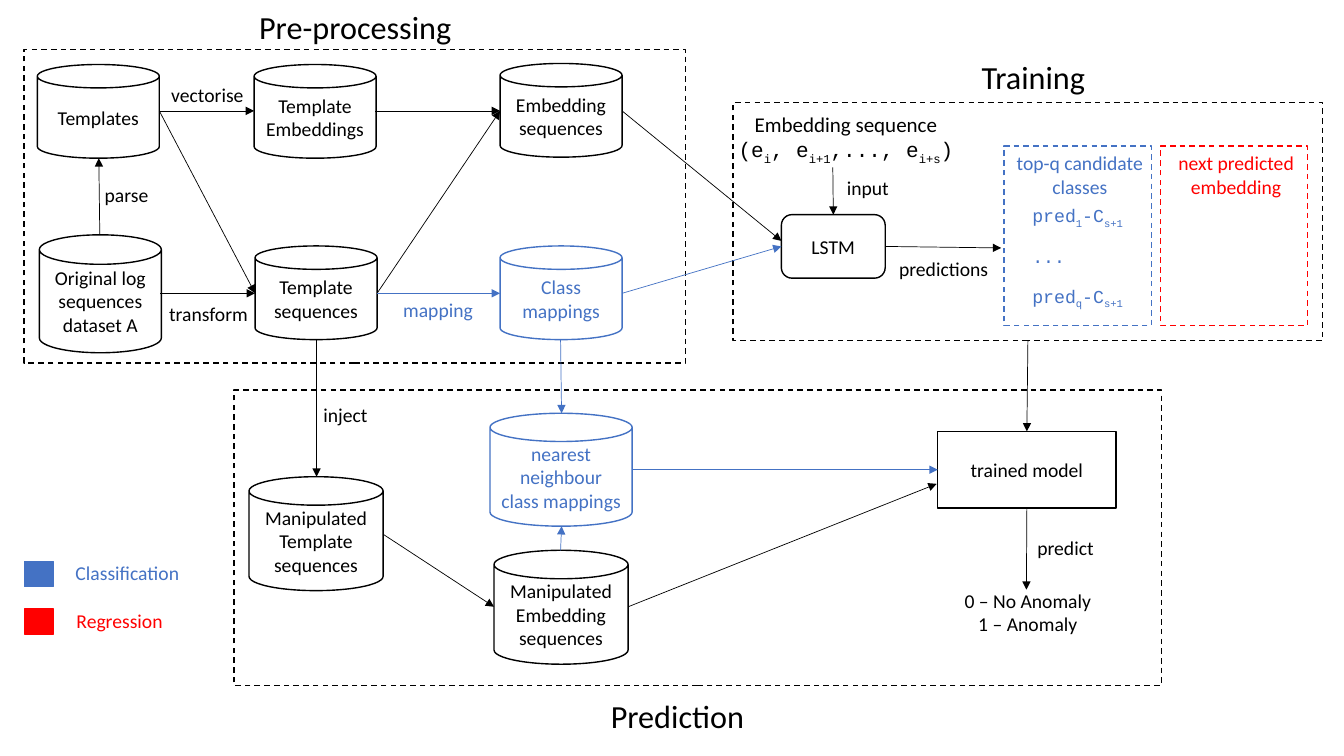
from pptx import Presentation
from pptx.dml.color import RGBColor
from pptx.enum.dml import MSO_LINE
from pptx.enum.shapes import MSO_CONNECTOR, MSO_SHAPE
from pptx.enum.text import MSO_ANCHOR, MSO_AUTO_SIZE, PP_ALIGN
from pptx.oxml.ns import qn
from pptx.util import Pt
from lxml import etree

PX = 9144  # 100 px to the inch
CAN, RECT, ROUND = MSO_SHAPE.CAN, MSO_SHAPE.RECTANGLE, MSO_SHAPE.ROUNDED_RECTANGLE
STRAIGHT, DASH = MSO_CONNECTOR.STRAIGHT, MSO_LINE.DASH
LEFT, MID = PP_ALIGN.LEFT, PP_ALIGN.CENTER
TOP, SIDE, BASE, RIGHT = range(4)

THEME = {
    "black": RGBColor(0, 0, 0), "blue": RGBColor(0x44, 0x72, 0xC4),
    "red": RGBColor(0xFF, 0, 0),
    "body": "Calibri", "mono": "Courier New",
    "title": 23, "input": 15, "text": 14, "code": 13,
}

deck = Presentation()
deck.slide_width, deck.slide_height = 1333 * PX, 750 * PX
slide = deck.slides.add_slide(deck.slide_layouts[6])
shapes = slide.shapes


def write(frame, text, color="black", size="text", font="body", align=MID):
    """Add one paragraph per line; parts between ~ marks are subscripts."""
    for line in text.split("\n"):
        para = frame.paragraphs[0]
        if para.runs:
            para = frame.add_paragraph()
        para.alignment = align
        for i, part in enumerate(line.split("~")):
            if not part:
                continue
            run = para.add_run()
            run.text = part
            run.font.name = THEME[font]
            run.font.size = Pt(THEME[size])
            run.font.color.rgb = THEME[color]
            if i % 2:
                run.font._element.set("baseline", "-25000")


def block(kind, box, color="black", dash=None, fill=None, text=""):
    shape = shapes.add_shape(kind, *[n * PX for n in box])
    shape.shadow.inherit = False
    shape.line.color.rgb = THEME[color]
    shape.line.width = Pt(1)
    if dash:
        shape.line.dash_style = dash
    if fill:
        shape.fill.solid()
        shape.fill.fore_color.rgb = THEME[fill]
    else:
        shape.fill.background()
    if text:
        shape.text_frame.word_wrap = True
        shape.text_frame.vertical_anchor = MSO_ANCHOR.MIDDLE
        write(shape.text_frame, text, color)
    return shape


# Dashed frames
block(RECT, (24, 49, 656, 311), dash=DASH)
block(RECT, (232, 387, 920, 293), dash=DASH)
train = block(RECT, (727, 102, 585, 236), dash=DASH)
for x, color in (996, "blue"), (1151, "red"):
    block(RECT, (x, 145, 146, 178), color, DASH)

# Data stores
for box, color, text in [
    ((39, 233, 121, 117), "black", "Original log sequences dataset A"),
    ((37, 64, 121, 93), "black", "Templates"),
    ((252, 64, 121, 93), "black", "Template Embeddings"),
    ((496, 63, 121, 93), "black", "Embedding sequences"),
    ((253, 244, 121, 93), "black", "Template sequences"),
    ((496, 244, 121, 93), "blue", "Class mappings"),
    ((247, 473, 133, 113), "black", "Manipulated Template sequences"),
    ((490, 546, 133, 113), "black", "Manipulated Embedding sequences"),
    ((486, 410, 141, 112), "blue", "nearest\nneighbour class mappings"),
]:
    block(CAN, box, color, text=text)

# Models
lstm = block(ROUND, (775, 213, 103, 63), text="LSTM")
model = block(RECT, (930, 428, 177, 76), text="trained model")

# Arrows: start, end, colour, joined start, joined end
for start, end, color, tail, head in [
    ((99, 233), (98, 157), "black", None, None),
    ((159, 291), (253, 291), "black", None, None),
    ((158, 110), (253, 291), "black", None, None),
    ((158, 110), (252, 110), "black", None, None),
    ((372, 110), (496, 110), "black", None, None),
    ((374, 291), (496, 110), "black", None, None),
    ((374, 291), (496, 291), "blue", None, None),
    ((617, 110), (775, 239), "black", None, None),
    ((617, 291), (775, 245), "blue", None, (lstm, SIDE)),
    ((826, 166), (826, 213), "black", None, (lstm, TOP)),
    ((878, 246), (993, 246), "black", (lstm, RIGHT), None),
    ((314, 337), (314, 473), "black", None, None),
    ((556, 337), (557, 410), "blue", None, None),
    ((556, 546), (557, 522), "blue", None, None),
    ((380, 530), (490, 602), "black", None, None),
    ((623, 602), (929, 480), "black", None, None),
    ((627, 466), (930, 466), "blue", None, (model, SIDE)),
    ((1019, 338), (1018, 428), "black", (train, BASE), (model, TOP)),
    ((1018, 504), (1018, 585), "black", (model, BASE), None),
]:
    arrow = shapes.add_connector(STRAIGHT, *[n * PX for n in start + end])
    if tail:
        arrow.begin_connect(*tail)
    if head:
        arrow.end_connect(*head)
    arrow.line.color.rgb = THEME[color]
    arrow.line.width = Pt(0.5)
    etree.SubElement(arrow.line._get_or_add_ln(), qn("a:tailEnd"), type="triangle")
    etree.SubElement(arrow._element.spPr, qn("a:effectLst"))

# Legend swatches
for y, color in (557, "blue"), (604, "red"):
    block(RECT, (24, y, 29, 25), color, fill=color)

# Labels
code = {"color": "blue", "size": "code", "font": "mono", "align": LEFT}
title = {"size": "title"}
plain = {"align": LEFT}
blue, red = {"color": "blue"}, {"color": "red"}
labels = {}
for box, text, style in [
    ((237, 2, 231, 49), "Pre-processing", title),
    ((946, 52, 158, 49), "Training", title),
    ((569, 686, 206, 49), "Prediction", title),
    ((94, 177, 94, 34), "parse", plain),
    ((158, 295, 104, 34), "transform", plain),
    ((160, 77, 104, 34), "vectorise", plain),
    ((390, 291, 101, 34), "mapping", blue | plain),
    ((311, 395, 104, 34), "inject", plain),
    ((830, 170, 75, 34), "input", plain),
    ((878, 250, 116, 34), "predictions", {}),
    ((1019, 527, 101, 34), "predict", plain),
    ((713, 106, 252, 61), "Embedding sequence", {"size": "input"}),
    ((960, 145, 222, 57), "top-q candidate\nclasses", blue),
    ((1115, 145, 222, 57), "next predicted embedding", red),
    ((1014, 198, 115, 32), "pred~1~-C~s+1", code),
    ((1014, 238, 115, 32), "...", code),
    ((1014, 278, 115, 32), "pred~q~-C~s+1", code),
    ((946, 579, 147, 57), "0 – No Anomaly\n1 – Anomaly", {}),
    ((65, 552, 132, 34), "Classification", blue | plain),
    ((66, 599, 132, 34), "Regression", red | plain),
]:
    frame = shapes.add_textbox(*[n * PX for n in box]).text_frame
    frame.word_wrap = True
    frame.auto_size = MSO_AUTO_SIZE.SHAPE_TO_FIT_TEXT
    write(frame, text, **style)
    labels[text] = frame
write(labels["Embedding sequence"], "(e~i~, e~i+1~,..., e~i+s~)", size="input", font="mono")

deck.save("out.pptx")
